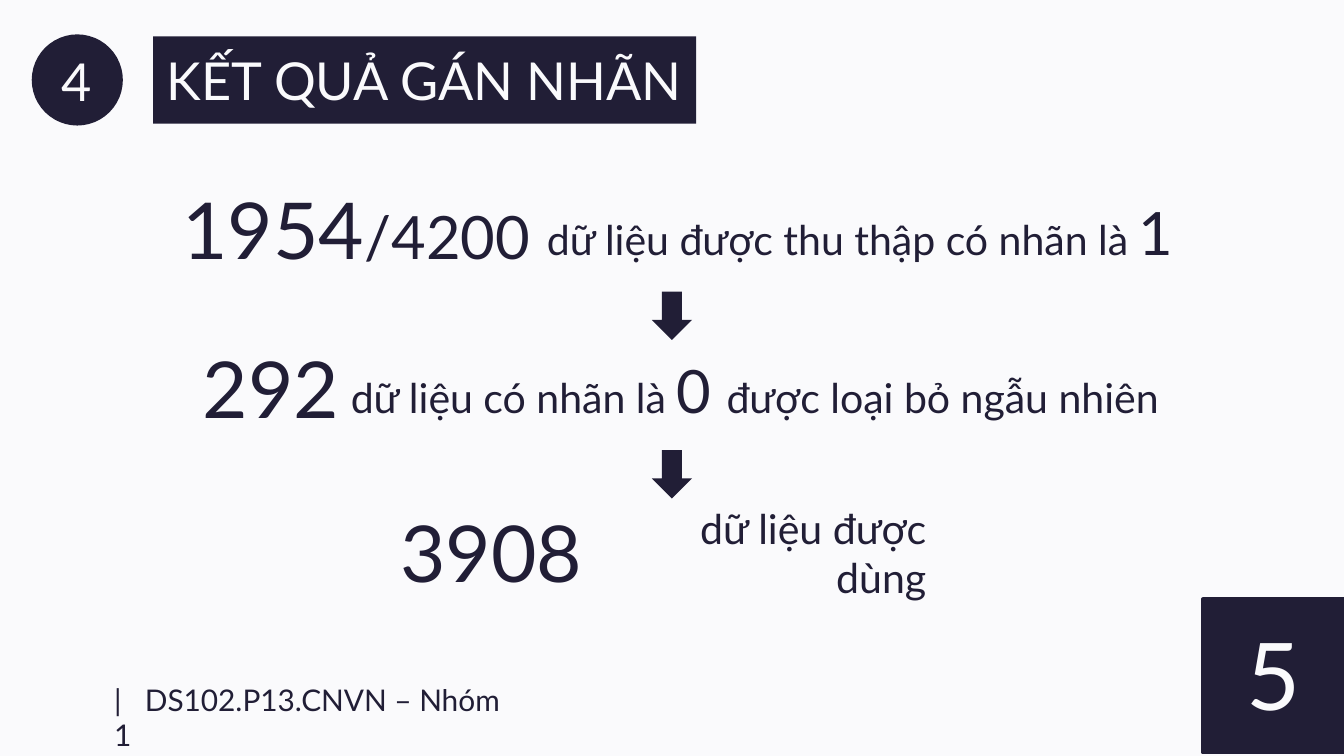
from dataclasses import dataclass

from lxml.etree import SubElement
from pptx import Presentation
from pptx.dml.color import RGBColor
from pptx.enum.shapes import MSO_SHAPE
from pptx.enum.text import MSO_ANCHOR, MSO_AUTO_SIZE, PP_ALIGN
from pptx.oxml.ns import qn
from pptx.util import Inches, Pt


@dataclass(frozen=True)
class Theme:
    """Colours, font and type sizes of the deck."""

    dark: RGBColor = RGBColor(0x21, 0x1E, 0x36)
    light: RGBColor = RGBColor(0xFA, 0xFA, 0xFC)
    font: str = "Lato"
    page_number: int = 50
    figure: int = 42
    label: int = 32
    title: int = 28
    body: int = 22
    footer: int = 16


THEME = Theme()


def write(shape, spans, color=THEME.dark, align=PP_ALIGN.LEFT):
    """Fill a shape with one paragraph of (text, size) spans and return it."""
    frame = shape.text_frame
    frame.auto_size = MSO_AUTO_SIZE.NONE
    frame.word_wrap = True
    frame.vertical_anchor = MSO_ANCHOR.MIDDLE
    frame.margin_left = frame.margin_right = Inches(0.1)
    frame.margin_top = frame.margin_bottom = Inches(0.1)
    para = frame.paragraphs[0]
    para.alignment = align
    for text, size in spans:
        span = para.add_run()
        span.text = text
        span.font.name = THEME.font
        span.font.size = Pt(size)
        span.font.color.rgb = color
    return para


def add_text(page, place, spans, **style):
    """Add a text box at place, given in inches, and return its paragraph."""
    box = page.shapes.add_textbox(*map(Inches, place))
    return write(box, spans, **style)


def add_block(page, kind, place, outlined=False):
    """Add a dark preset shape, with a line of its own colour if outlined."""
    block = page.shapes.add_shape(kind, *map(Inches, place))
    block.shadow.inherit = False
    block.fill.solid()
    block.fill.fore_color.rgb = THEME.dark
    if outlined:
        block.line.color.rgb = THEME.dark
        block.line.width = Pt(2)
    else:
        block.line.fill.background()
    return block


def add_title(page, place, text):
    """Place the title in a dark bar."""
    title = page.shapes.title
    title.left, title.top, title.width, title.height = map(Inches, place)
    title.fill.solid()
    title.fill.fore_color.rgb = THEME.dark
    write(title, [(text, THEME.title)], color=THEME.light)


def add_tab_stop(para, position):
    """Set a left tab stop in a paragraph."""
    stops = SubElement(para._p.get_or_add_pPr(), qn("a:tabLst"))
    SubElement(stops, qn("a:tab"), pos=str(position), algn="l")


def add_result(page, figure_place, figure_spans, label_place, label_spans):
    """Add one result: a large figure and its right-aligned explanation."""
    add_text(page, figure_place, figure_spans)
    add_text(page, label_place, label_spans, align=PP_ALIGN.RIGHT)


def main():
    """Build the slide of labelling results."""
    deck = Presentation()
    deck.slide_width = Inches(10)
    deck.slide_height = deck.slide_width * 9 // 16
    page = deck.slides.add_slide(deck.slide_layouts[5])
    page.background.fill.solid()
    page.background.fill.fore_color.rgb = THEME.light

    badge_style = {"color": THEME.light, "align": PP_ALIGN.CENTER}
    add_block(page, MSO_SHAPE.RECTANGLE, (8.95, 4.46, 1.05, 1.14), outlined=True)
    add_text(page, (8.95, 4.56, 1.05, 0.9), [("5", THEME.page_number)], **badge_style)
    add_title(page, (1.14, 0.27, 4.04, 0.65), "KẾT QUẢ GÁN NHÃN")
    add_block(page, MSO_SHAPE.OVAL, (0.25, 0.27, 0.65, 0.65), outlined=True)
    add_text(page, (0.36, 0.29, 0.42, 0.62), [("4", THEME.title)], **badge_style)

    footer = add_text(
        page, (0.75, 5.06, 3.18, 0.55), [("|\tDS102.P13.CNVN – Nhóm 1", THEME.footer)]
    )
    add_tab_stop(footer, Inches(0.23))

    add_result(
        page,
        (1.26, 1.52, 2.84, 0.36),
        [("1954", THEME.figure), ("/4200", THEME.label)],
        (3.96, 1.54, 4.87, 0.36),
        [("dữ liệu được thu thập có nhãn là ", THEME.body), ("1", THEME.label)],
    )
    add_result(
        page,
        (1.41, 2.7, 1.27, 0.36),
        [("292", THEME.figure)],
        (2.49, 2.72, 6.23, 0.36),
        [
            ("dữ liệu có nhãn là ", THEME.body),
            ("0 ", THEME.label),
            ("được loại bỏ ngẫu nhiên ", THEME.body),
        ],
    )
    add_result(
        page,
        (2.88, 3.92, 1.64, 0.36),
        [("3908", THEME.figure)],
        (4.4, 3.93, 2.59, 0.36),
        [("dữ liệu được dùng", THEME.body)],
    )
    for top in (2.17, 3.35):
        add_block(page, MSO_SHAPE.DOWN_ARROW, (4.85, top, 0.3, 0.36))

    deck.save("out.pptx")


if __name__ == "__main__":
    main()
